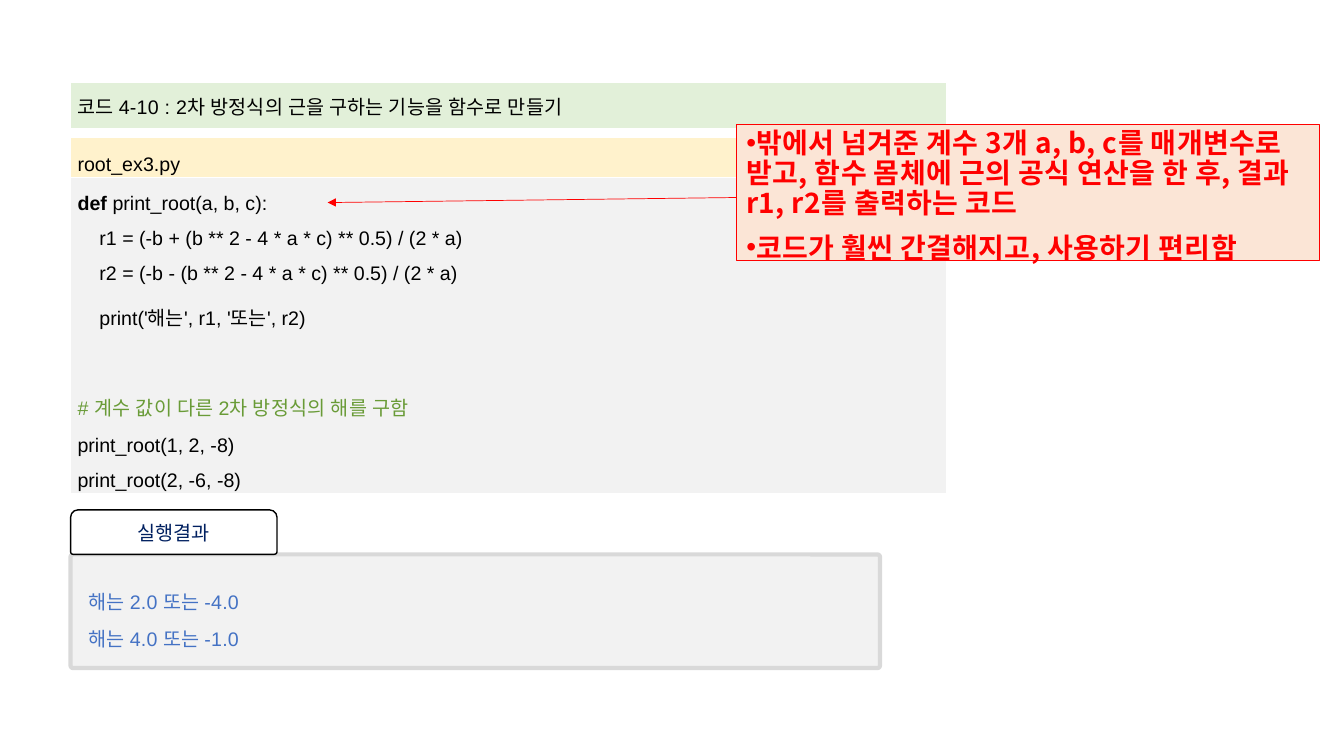
from dataclasses import dataclass

import pptx
import pptx.dml.color
import pptx.enum.shapes
import pptx.enum.text
import pptx.oxml
import pptx.oxml.ns
import pptx.util
from pptx.util import Pt


@dataclass(frozen=True)
class Theme:
    latin: str = "Arial"
    korean: str = "Noto Sans CJK KR"
    code_size: int = 14
    note_size: int = 20
    ink: str = "000000"
    comment: str = "699B37"
    output: str = "4472C4"
    tab_text: str = "002060"
    white: str = "FFFFFF"
    heading_fill: str = "E2F0D9"
    file_fill: str = "FFF2CC"
    code_fill: str = "F2F2F2"
    output_border: str = "D9D9D9"
    note: str = "FF0000"
    note_fill: str = "FBE5D6"


THEME = Theme()
SHAPES = pptx.enum.shapes.MSO_SHAPE
ALIGN = pptx.enum.text.PP_ALIGN
MIDDLE = pptx.enum.text.MSO_ANCHOR.MIDDLE
CODE_SPACING = 1.6
CODE_INDENT = 15.6

HEADING = "코드 4-10 : 2차 방정식의 근을 구하는 기능을 함수로 만들기"
FILE_NAME = "root_ex3.py"
FUNCTION_HEAD = ("def ", "print_root(a, b, c): ")
FUNCTION_BODY = (
    "r1 = (-b + (b ** 2 - 4 * a * c) ** 0.5) / (2 * a) ",
    "r2 = (-b - (b ** 2 - 4 * a * c) ** 0.5) / (2 * a) ",
    "print('해는', r1, '또는', r2)",
)
COMMENT = "# 계수 값이 다른 2차 방정식의 해를 구함"
CALLS = ("print_root(1, 2, -8)", "print_root(2, -6, -8)")
RESULTS = ("해는 2.0 또는 -4.0", "해는 4.0 또는 -1.0")
NOTES = (
    "밖에서 넘겨준 계수 3개 a, b, c를 매개변수로 받고, 함수 몸체에 근의 공식 연산을 한 후, "
    "결과 r1, r2를 출력하는 코드",
    "코드가 훨씬 간결해지고, 사용하기 편리함",
)


def rgb(color):
    return pptx.dml.color.RGBColor.from_string(color)


def points(*lengths):
    return [Pt(length) for length in lengths]


def paint(shape, fill, line, width):
    shape.fill.solid()
    shape.fill.fore_color.rgb = rgb(fill)
    shape.line.color.rgb = rgb(line)
    shape.line.width = Pt(width)


def style(paragraph, color, latin=THEME.latin, size=THEME.code_size, bold=False):
    """Set the font, including the East Asian face, on a whole paragraph."""
    font = paragraph.font
    font.name, font.size, font.bold = latin, Pt(size), bold
    font.color.rgb = rgb(color)
    east_asian = pptx.oxml.parse_xml(
        f'<a:ea {pptx.oxml.ns.nsdecls("a")} typeface="{THEME.korean}"/>')
    font._element.find(pptx.oxml.ns.qn("a:latin")).addnext(east_asian)


def track(paragraph, hundredths):
    """Widen the letter spacing, in hundredths of a point."""
    paragraph.font._element.set("spc", str(hundredths))


def write_lines(frame, lines, color=THEME.ink, **font):
    """Fill a text frame with one paragraph per line and return the paragraphs."""
    paragraphs = []
    for number, line in enumerate(lines):
        paragraph = frame.add_paragraph() if number else frame.paragraphs[0]
        for text in (line,) if isinstance(line, str) else line:
            paragraph.add_run().text = text
        style(paragraph, color, **font)
        paragraphs.append(paragraph)
    return paragraphs


def write_code(frame, lines, color=THEME.ink):
    paragraphs = write_lines(frame, lines, color)
    for paragraph in paragraphs:
        paragraph.alignment = ALIGN.JUSTIFY
        paragraph.line_spacing = CODE_SPACING
    return paragraphs


def write_function(frame):
    paragraphs = write_code(frame, (FUNCTION_HEAD, *FUNCTION_BODY, COMMENT, *CALLS))
    paragraphs[0].runs[0].font.bold = True
    for body_line in paragraphs[1:4]:
        body_line._p.get_or_add_pPr().set("marL", str(Pt(CODE_INDENT)))
    comment = paragraphs[4]
    comment.font.color.rgb = rgb(THEME.comment)
    comment.space_before = Pt(32)
    track(comment, 20)


def add_listing(slide, left, top, width):
    heights = (33, 6.5, 28.2, 225)
    fills = (THEME.heading_fill, None, THEME.file_fill, THEME.code_fill)
    table = slide.shapes.add_table(
        len(heights), 1, *points(left, top, width, sum(heights))).table
    table.first_row = table.horz_banding = False
    cells = [table.cell(row, 0) for row in range(len(heights))]
    for row, cell, height, fill in zip(table.rows, cells, heights, fills):
        row.height = Pt(height)
        cell.vertical_anchor = MIDDLE
        cell.margin_left = cell.margin_right = Pt(5)
        cell.margin_top = cell.margin_bottom = Pt(1.4)
        if fill:
            cell.fill.solid()
            cell.fill.fore_color.rgb = rgb(fill)
        else:
            cell.fill.background()
    heading, gap, file_name, code = cells
    track(write_lines(heading.text_frame, (HEADING,))[0], 17)
    gap.text_frame.paragraphs[0].font.size = Pt(1)
    write_code(file_name.text_frame, (FILE_NAME,))
    write_function(code.text_frame)


def add_result(slide, left, top, width, height):
    """Place the output panel with its label tab on top."""
    tab_height = 31.8
    panel = slide.shapes.add_shape(
        SHAPES.ROUNDED_RECTANGLE,
        *points(left, top + tab_height, width, height - tab_height))
    panel.adjustments[0] = 0.023
    paint(panel, THEME.code_fill, THEME.output_border, 3)

    tab = slide.shapes.add_shape(
        SHAPES.ROUND_2_SAME_RECTANGLE, *points(left, top, 147.5, tab_height))
    tab.adjustments[0], tab.adjustments[1] = 0.17, 0.06
    paint(tab, THEME.white, THEME.ink, 1)
    for shape in (panel, tab):
        shape.shadow.inherit = False
    tab.text_frame.vertical_anchor = MIDDLE
    label, = write_lines(
        tab.text_frame, ("실행결과",), THEME.tab_text, latin=THEME.korean)
    label.alignment = ALIGN.CENTER

    output = slide.shapes.add_textbox(
        *points(left + 5.8, top + 43.2, 339, 58.3)).text_frame
    output.word_wrap = True
    for result in write_code(output, RESULTS, THEME.output):
        track(result, 13)


def add_note(slide, left, top, width, height):
    """Fill the body placeholder and bring it in front of the listing."""
    note = slide.placeholders[1]
    slide.shapes._spTree.append(note._element)
    note.left, note.top, note.width, note.height = points(left, top, width, height)
    paint(note, THEME.note_fill, THEME.note, 0.75)
    frame = note.text_frame
    frame.word_wrap = True
    frame.margin_right = Pt(8)
    frame.auto_size = pptx.enum.text.MSO_AUTO_SIZE.NONE
    paragraphs = write_lines(frame, NOTES, THEME.note, latin=THEME.korean,
                             size=THEME.note_size, bold=True)
    for paragraph in paragraphs:
        paragraph.line_spacing = 0.9
        paragraph.space_before = Pt(10)
        track(paragraph, 25)
        properties = paragraph._p.get_or_add_pPr()
        properties.set("marL", "0")
        properties.set("indent", "0")


def add_pointer(slide, start, end):
    pointer = slide.shapes.add_connector(
        pptx.enum.shapes.MSO_CONNECTOR.STRAIGHT, *points(*start, *end))
    pointer.line.color.rgb = rgb(THEME.note)
    pointer.line.width = Pt(0.5)
    namespace = pptx.oxml.ns.nsdecls("a")
    pointer.line._get_or_add_ln().append(
        pptx.oxml.parse_xml(f'<a:tailEnd {namespace} type="triangle"/>'))
    pointer._element.spPr.append(pptx.oxml.parse_xml(f"<a:effectLst {namespace}/>"))


def main():
    presentation = pptx.Presentation()
    presentation.slide_width, presentation.slide_height = points(960, 540)
    slide = presentation.slides.add_slide(presentation.slide_layouts[1])
    title = slide.shapes.title._element
    title.getparent().remove(title)

    add_listing(slide, left=50.4, top=59, width=625.7)
    add_result(slide, left=50.4, top=364.2, width=578.2, height=113)
    add_note(slide, left=525.9, top=88.6, width=416.9, height=97.6)
    add_pointer(slide, start=(525.9, 141.1), end=(234, 144.7))
    presentation.save("out.pptx")


if __name__ == "__main__":
    main()
